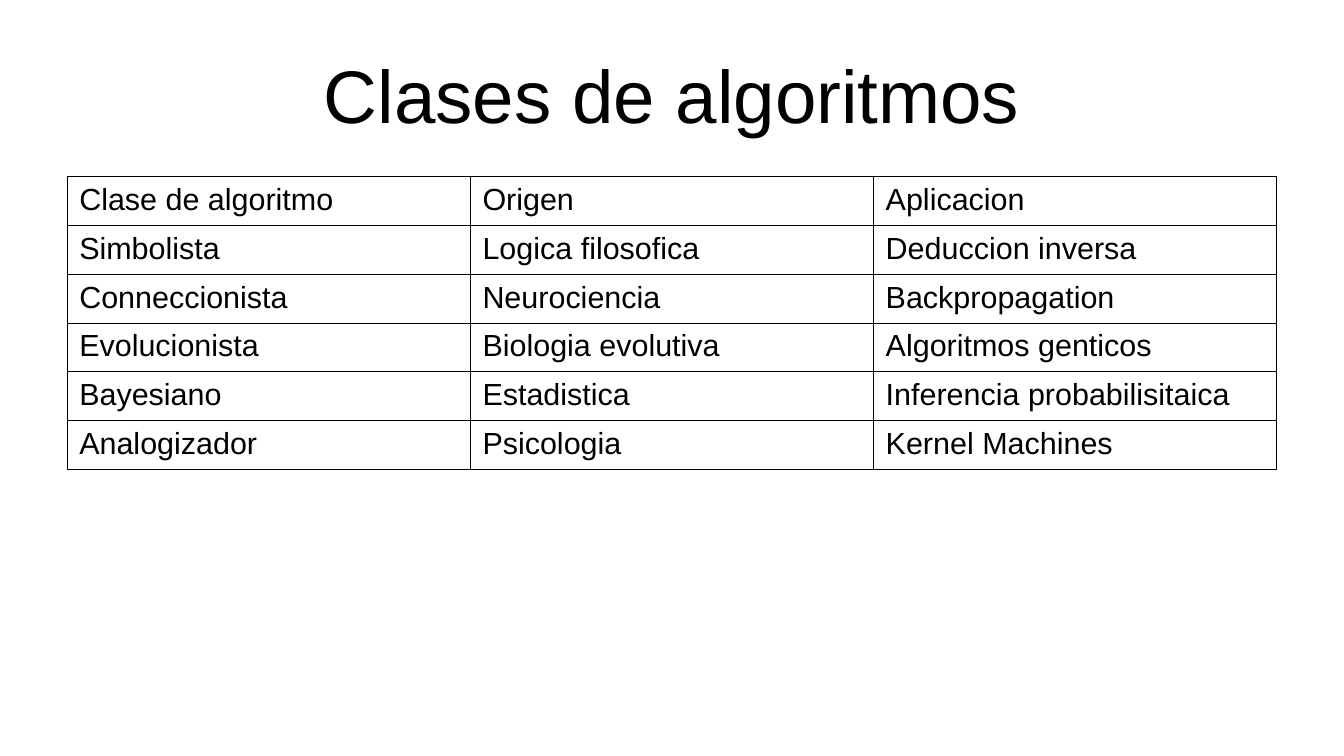
from dataclasses import dataclass

from lxml.etree import SubElement
from pptx import Presentation
from pptx.dml.color import RGBColor
from pptx.enum.text import MSO_ANCHOR as Anchor, PP_ALIGN as Align
from pptx.oxml.ns import qn
from pptx.util import Inches, Pt

TITLE = "Clases de algoritmos"
ROWS = [
    ("Clase de algoritmo", "Origen", "Aplicacion"),
    ("Simbolista", "Logica filosofica", "Deduccion inversa"),
    ("Conneccionista", "Neurociencia", "Backpropagation"),
    ("Evolucionista", "Biologia evolutiva", "Algoritmos genticos"),
    ("Bayesiano", "Estadistica", "Inferencia probabilisitaica"),
    ("Analogizador", "Psicologia", "Kernel Machines"),
]


@dataclass(frozen=True)
class Theme:
    font: str = "Arial"
    ink: str = "000000"
    paper: str = "FFFFFF"
    title_size: int = 44
    cell_size: int = 18
    border_width: float = 0.57


THEME = Theme()
SLIDE_WIDTH, SLIDE_HEIGHT = 11.02, 6.2
MARGIN = 0.55
CONTENT_WIDTH = SLIDE_WIDTH - 2 * MARGIN
TITLE_TOP, TITLE_HEIGHT = 0.25, 1.04
TABLE_TOP, ROW_HEIGHT = 1.45, 0.4
TITLE_FORMAT = {
    "margin_left": 0,
    "margin_right": 0,
    "margin_top": 0,
    "margin_bottom": 0,
    "vertical_anchor": Anchor.MIDDLE,
    "word_wrap": True,
}
CELL_FORMAT = {
    "margin_left": Inches(0.1),
    "margin_right": Inches(0.1),
    "margin_top": Inches(0.05),
    "margin_bottom": Inches(0.05),
    "vertical_anchor": Anchor.TOP,
}


def apply_format(target, values):
    for name, value in values.items():
        setattr(target, name, value)


def write_text(text_frame, text, size, alignment):
    text_frame.text = text
    paragraph = text_frame.paragraphs[0]
    paragraph.alignment = alignment
    font = paragraph.runs[0].font
    apply_format(font, {"name": THEME.font, "size": Pt(size), "bold": False})
    font.color.rgb = RGBColor.from_string(THEME.ink)


def add_borders(cell):
    properties = cell._tc.get_or_add_tcPr()
    for position, side in enumerate(("lnL", "lnR", "lnT", "lnB")):
        line = properties.makeelement(qn(f"a:{side}"), {"w": str(Pt(THEME.border_width))})
        fill = SubElement(line, qn("a:solidFill"))
        SubElement(fill, qn("a:srgbClr"), val=THEME.ink)
        properties.insert(position, line)


def add_title(slide):
    title = slide.shapes.title
    apply_format(title, {
        "left": Inches(MARGIN),
        "top": Inches(TITLE_TOP),
        "width": Inches(CONTENT_WIDTH),
        "height": Inches(TITLE_HEIGHT),
    })
    apply_format(title.text_frame, TITLE_FORMAT)
    write_text(title.text_frame, TITLE, THEME.title_size, Align.CENTER)


def add_algorithm_table(slide):
    table = slide.shapes.add_table(
        len(ROWS), len(ROWS[0]), Inches(MARGIN), Inches(TABLE_TOP),
        Inches(CONTENT_WIDTH), Inches(ROW_HEIGHT * len(ROWS)),
    ).table
    apply_format(table, {"first_row": False, "horz_banding": False})
    for row, texts in zip(table.rows, ROWS):
        for cell, text in zip(row.cells, texts):
            apply_format(cell, CELL_FORMAT)
            cell.fill.solid()
            cell.fill.fore_color.rgb = RGBColor.from_string(THEME.paper)
            write_text(cell.text_frame, text, THEME.cell_size, Align.LEFT)
            add_borders(cell)


def main():
    presentation = Presentation()
    presentation.slide_width = Inches(SLIDE_WIDTH)
    presentation.slide_height = Inches(SLIDE_HEIGHT)
    title_only = presentation.slide_layouts.get_by_name("Title Only")
    slide = presentation.slides.add_slide(title_only)
    add_title(slide)
    add_algorithm_table(slide)
    presentation.save("out.pptx")


if __name__ == "__main__":
    main()
